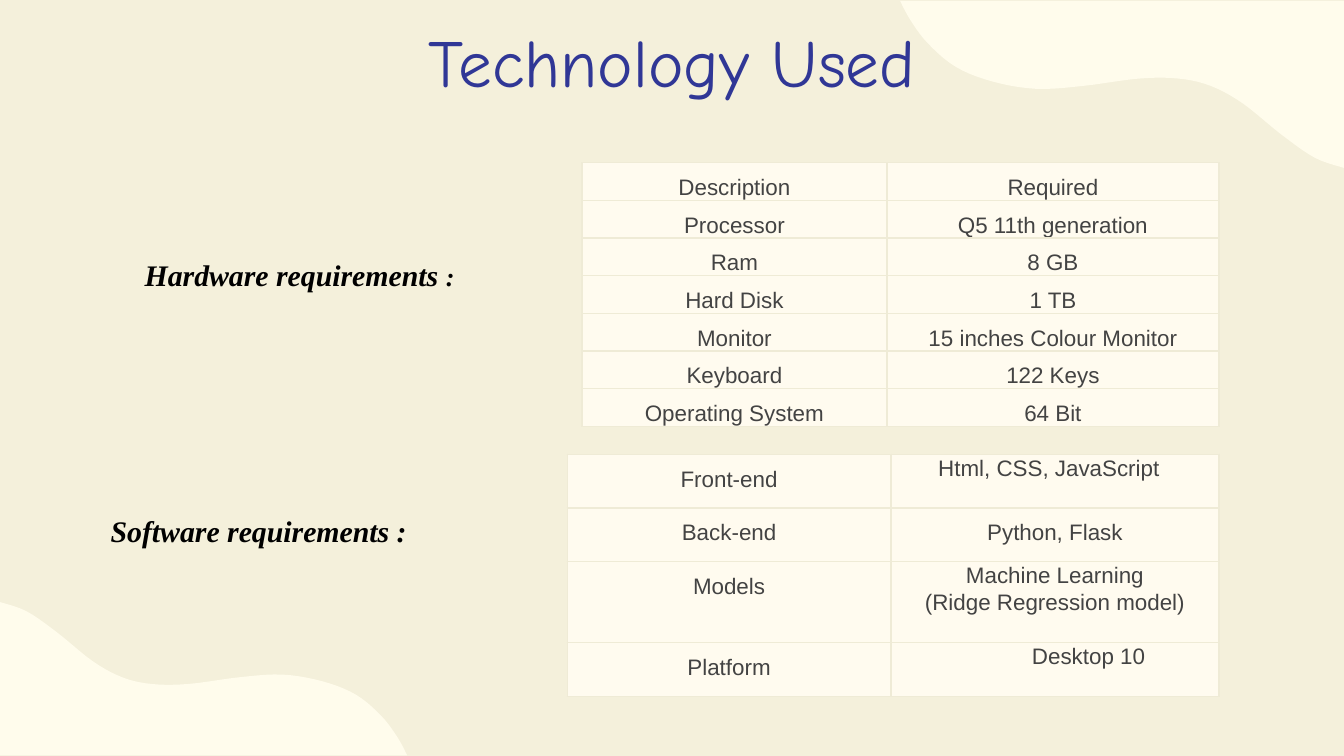
from lxml import etree
from pptx import Presentation
from pptx.dml.color import RGBColor
from pptx.enum import text
from pptx.oxml import ns
from pptx.util import Inches, Pt

COLORS = {
    "background": "F4F0DB",
    "blob": "FFFCEC",
    "title": "303796",
    "label": "000000",
    "cell": "FFFBEF",
    "cell_text": "434343",
    "border": "EFEBD6",
}
SLIDE_WIDTH = 10
SLIDE_HEIGHT = SLIDE_WIDTH * 9 / 16

# Upper edge of the corner blob, measured from its top left corner
BLOB_EDGE = [
    (0, 0), (0.2, 0.07), (0.43, 0.23), (0.69, 0.44), (0.91, 0.56),
    (1.13, 0.61), (1.4, 0.61), (1.78, 0.56), (2.1, 0.54), (2.4, 0.59),
    (2.65, 0.69), (2.84, 0.85), (2.96, 1.01), (3.03, 1.14),
]

HARDWARE = [
    ("Description", "Required"),
    ("Processor", "Q5 11th generation"),
    ("Ram", "8 GB"),
    ("Hard Disk", "1 TB"),
    ("Monitor", "15 inches Colour Monitor"),
    ("Keyboard", "122 Keys"),
    ("Operating System", "64 Bit"),
]
SOFTWARE = [
    ("Front-end", "Html, CSS, JavaScript"),
    ("Back-end", "Python, Flask"),
    ("Models", "Machine Learning\n(Ridge Regression model)"),
    ("Platform", "Desktop 10"),
]


def color(name):
    return RGBColor.from_string(COLORS[name])


def add_run(paragraph, words, font, size, color_name, bold=False, italic=False):
    run = paragraph.add_run()
    run.text = words
    run.font.name = font
    run.font.size = Pt(size)
    run.font.bold = bold
    run.font.italic = italic
    run.font.color.rgb = color(color_name)


def smooth(knots, steps=5):
    """Return points on a Catmull-Rom curve through the knots."""
    padded = [knots[0], *knots, knots[-1]]
    points = [knots[0]]
    for a, b, c, d in zip(padded, padded[1:], padded[2:], padded[3:]):
        for step in range(1, steps + 1):
            t = step / steps
            points.append(tuple(
                0.5 * (2 * q + (r - p) * t + (2 * p - 5 * q + 4 * r - s) * t**2
                       + (3 * q - p - 3 * r + s) * t**3)
                for p, q, r, s in zip(a, b, c, d)))
    return points


def add_blob(slide, left, top, scale):
    """Draw the corner blob; a negative scale turns it half round."""
    outline = smooth(BLOB_EDGE) + [(0, BLOB_EDGE[-1][1])]
    points = [(Inches(left + scale * x), Inches(top + scale * y)) for x, y in outline]
    builder = slide.shapes.build_freeform(*points[0])
    builder.add_line_segments(points[1:], close=True)
    blob = builder.convert_to_shape()
    blob.shadow.inherit = False
    blob.fill.solid()
    blob.fill.fore_color.rgb = color("blob")
    blob.line.fill.background()


def format_title(title):
    title.left, title.top = Inches(0), Inches(0)
    title.width, title.height = Inches(SLIDE_WIDTH), Inches(0.91)
    frame = title.text_frame
    frame.vertical_anchor = text.MSO_ANCHOR.MIDDLE
    frame.margin_top = frame.margin_bottom = Inches(0.1)
    heading = frame.paragraphs[0]
    heading.alignment = text.PP_ALIGN.CENTER
    add_run(heading, "Technology Used", "Comic Neue", 36, "title")


def add_label(slide, left, top, width, height, runs):
    """Add a centred heading from (words, size) runs."""
    box = slide.shapes.add_textbox(*map(Inches, (left, top, width, height)))
    frame = box.text_frame
    frame.word_wrap = True
    frame.vertical_anchor = text.MSO_ANCHOR.MIDDLE
    label = frame.paragraphs[0]
    label.alignment = text.PP_ALIGN.CENTER
    for words, size in runs:
        add_run(label, words, "Times New Roman", size, "label", True, True)


def set_borders(cell):
    properties = cell._tc.get_or_add_tcPr()
    for position, side in enumerate(("lnL", "lnR", "lnT", "lnB")):
        line = etree.Element(ns.qn(f"a:{side}"), w=str(Pt(0.75)))
        fill = etree.SubElement(line, ns.qn("a:solidFill"))
        etree.SubElement(fill, ns.qn("a:srgbClr"), val=COLORS["border"])
        properties.insert(position, line)


def fill_cell(cell, words, spacing):
    cell.margin_left = cell.margin_right = Inches(0.07)
    cell.margin_top = cell.margin_bottom = 0
    cell.fill.solid()
    cell.fill.fore_color.rgb = color("cell")
    set_borders(cell)
    frame = cell.text_frame
    for number, line in enumerate(words.split("\n")):
        paragraph = frame.add_paragraph() if number else frame.paragraphs[0]
        paragraph.alignment = text.PP_ALIGN.CENTER
        paragraph.line_spacing = spacing
        add_run(paragraph, line, "Arial", 12, "cell_text")


def add_requirements(slide, left, top, widths, heights, rows, tight=()):
    """Add a table; cells whose (row, column) is in tight get close lines."""
    table = slide.shapes.add_table(
        len(rows), len(widths), Inches(left), Inches(top),
        Inches(sum(widths)), Inches(sum(heights))).table
    table.first_row = table.horz_banding = False
    for column, width in zip(table.columns, widths):
        column.width = Inches(width)
    for r, (height, row) in enumerate(zip(heights, rows)):
        table.rows[r].height = Inches(height)
        for c, words in enumerate(row):
            fill_cell(table.cell(r, c), words, 1.07 if (r, c) in tight else 1.5)
    return table


def main():
    deck = Presentation()
    deck.slide_width, deck.slide_height = Inches(SLIDE_WIDTH), Inches(SLIDE_HEIGHT)
    slide = deck.slides.add_slide(deck.slide_layouts[5])
    slide.background.fill.solid()
    slide.background.fill.fore_color.rgb = color("background")

    add_blob(slide, SLIDE_WIDTH, 1.25, -1.09)
    add_blob(slide, 0, 4.48, 1)
    title = slide.shapes.title
    format_title(title)
    title._element.getparent().append(title._element)  # in front of the blobs

    add_requirements(slide, 4.33, 1.21, (2.27, 2.47), [0.27] * 7, HARDWARE)
    software = add_requirements(
        slide, 4.22, 3.38, (2.41, 2.44), (0.4, 0.4, 0.6, 0.4), SOFTWARE,
        tight={(0, 1), (2, 1), (3, 1)})
    software.cell(0, 1).margin_right = Inches(0.16)
    software.cell(3, 1).margin_left = Inches(0.57)

    add_label(slide, 0.51, 1.85, 3.44, 0.38,
              [("Hardware requirements ", 16), (":", 14)])
    add_label(slide, 0.15, 3.54, 3.55, 0.81, [("Software requirements :", 16)])
    deck.save("out.pptx")


if __name__ == "__main__":
    main()
